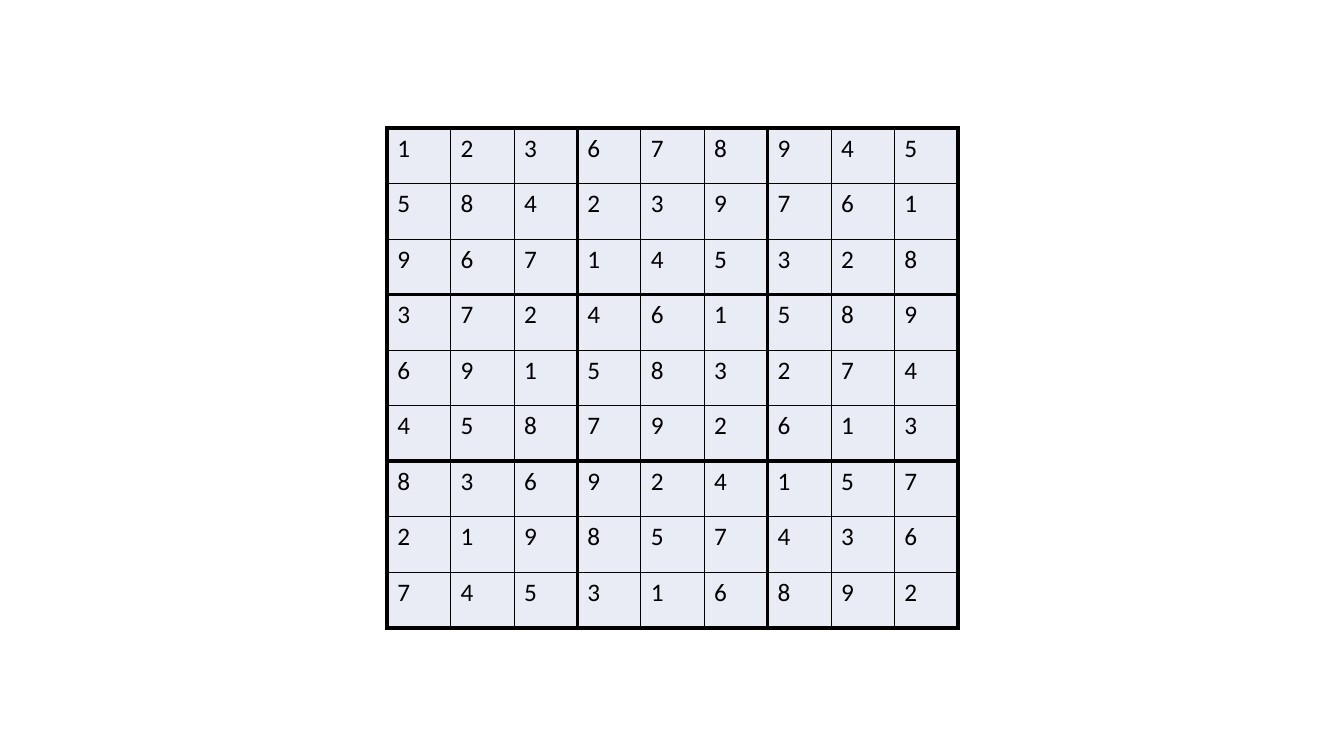
from lxml import etree
from pptx import Presentation
from pptx import util as u
from pptx.dml.color import RGBColor
from pptx.oxml import ns

COLORS = {"ink": "000000", "cell": "E9EBF5"}
FONT = {"name": "Calibri", "size": u.Pt(18), "bold": False}
FLAGS = {"first_row": False, "horz_banding": False}
THIN, THICK = 0.5, 3
BOX = 3
DIGITS = [
    "123678945",
    "584239761",
    "967145328",
    "372461589",
    "691583274",
    "458792613",
    "836924157",
    "219857436",
    "745316892",
]


def color(key):
    """Return the named colour."""
    return RGBColor.from_string(COLORS[key])


def apply(item, values):
    """Set each attribute in values on item."""
    for name, value in values.items():
        setattr(item, name, value)


def add_edge(cell, side, width):
    """Add a solid border to one side of a cell."""
    props = cell._tc.get_or_add_tcPr()
    line = etree.SubElement(props, ns.qn("a:ln" + side), w=str(u.Pt(width)))
    fill = etree.SubElement(line, ns.qn("a:solidFill"))
    etree.SubElement(fill, ns.qn("a:srgbClr"), val=COLORS["ink"])


def fill_cell(cell, digit, row, col):
    """Write a digit and draw thick edges where a box begins or ends."""
    thick = {
        "L": col % BOX == 0,
        "R": col % BOX == BOX - 1,
        "T": row % BOX == 0,
        "B": row % BOX == BOX - 1,
    }
    for side, heavy in thick.items():
        add_edge(cell, side, THICK if heavy else THIN)
    cell.fill.solid()
    cell.fill.fore_color.rgb = color("cell")
    cell.text = digit
    font = cell.text_frame.paragraphs[0].runs[0].font
    apply(font, FONT)
    font.color.rgb = color("ink")


def add_grid(slide, digits, left, top, width, height):
    """Add the number grid as a table."""
    size = len(digits)
    area = [u.Inches(value) for value in (left, top, width, height)]
    table = slide.shapes.add_table(size, size, *area).table
    apply(table, FLAGS)
    for row, line in enumerate(digits):
        for col, digit in enumerate(line):
            fill_cell(table.cell(row, col), digit, row, col)


def main():
    """Build the slide and save it."""
    deck = Presentation()
    apply(deck, {"slide_width": u.Inches(13.33), "slide_height": u.Inches(7.5)})
    slide = deck.slides.add_slide(deck.slide_layouts[6])
    add_grid(slide, DIGITS, 3.84, 1.27, 5.66, 4.96)
    deck.save("out.pptx")


main()
